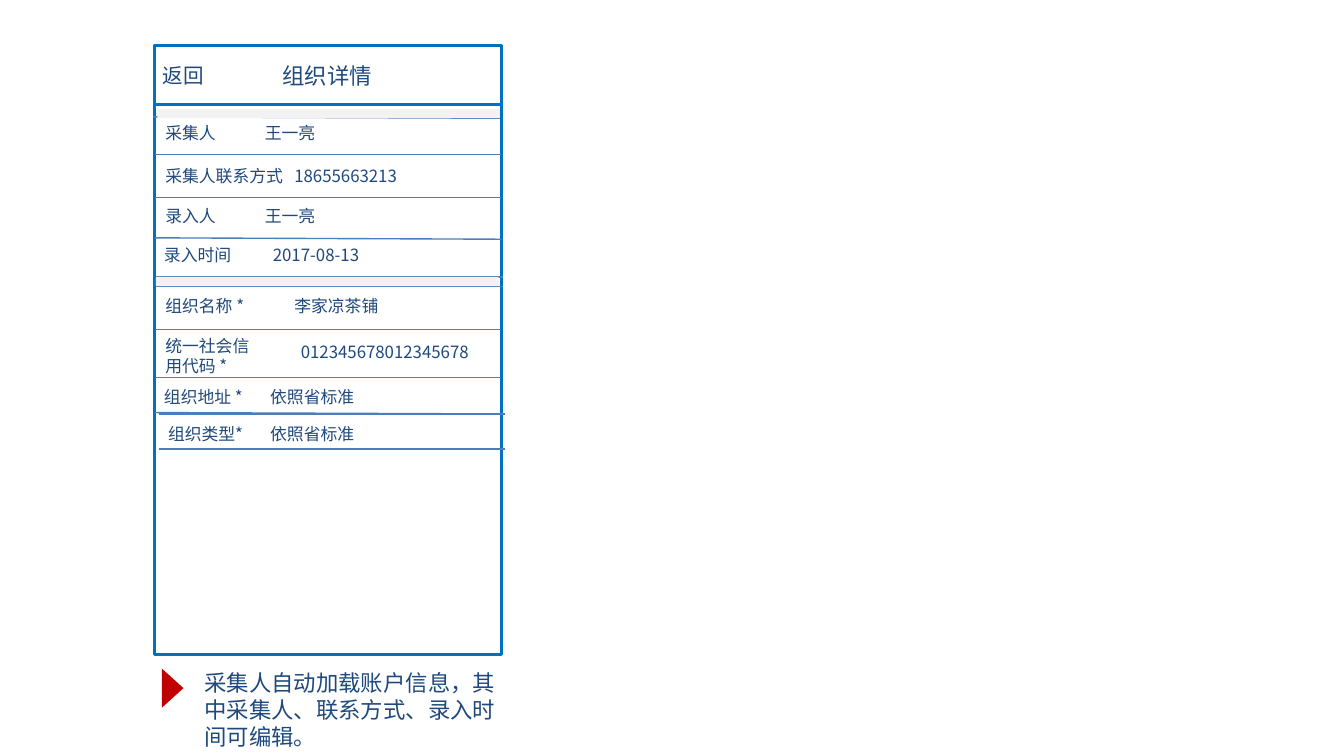
import pptx
import pptx.dml.color
import pptx.enum.shapes
import pptx.enum.text
import pptx.oxml.ns
import pptx.util
import lxml.etree

Inches = pptx.util.Inches
Pt = pptx.util.Pt
RGB = pptx.dml.color.RGBColor
Shape = pptx.enum.shapes.MSO_SHAPE
Align = pptx.enum.text.PP_ALIGN
qn = pptx.oxml.ns.qn

NAVY = RGB(0x1F, 0x49, 0x7D)
BLUE = RGB(0x00, 0x70, 0xC0)
STEEL = RGB(0x4B, 0x7E, 0xBC)
RED = RGB(0xC0, 0x00, 0x00)
GRAY = RGB(0xF2, 0xF2, 0xF2)
WHITE = RGB(0xFF, 0xFF, 0xFF)
FONT = "Noto Sans CJK SC"

ROWS = [
    ("采集人\t王一亮", 0.08, 0.57, 0.74),
    ("采集人联系方式\t18655663213", 0.08, 0.89, 0.96),
    ("录入人\t王一亮", 0.08, 1.19, 0.74),
    ("录入时间\t2017-08-13", 0.07, 1.48, 0.81),
    ("组织名称 *\t李家凉茶铺", 0.08, 1.86, 0.96),
    ("统一社会信\n用代码 *", 0.08, 2.16, None),
    ("组织地址 *\t依照省标准", 0.07, 2.54, 0.79),
    ("组织类型*\t依照省标准", 0.1, 2.81, 0.76),
]
RULES = [
    (0, 0.81, 0), (0, 1.13, 0), (0, 1.43, 0.01), (0.01, 1.72, 0),
    (0, 2.11, 0), (0, 2.47, 0), (0, 2.73, 0.01), (0.03, 2.74, 0),
    (0.03, 3, 0), (-0.01, 0.53, 0.01), (0.01, 1.79, 0),
]
BANDS = [(0.02, 0.47), (0.01, 1.72)]


def style(item, values):
    """Set each attribute of an object from a dict."""
    for name, value in values.items():
        setattr(item, name, value)


def write(shape, text, size, inset=(0, 0), tab=None, align=Align.LEFT, wrap=True):
    """Fill a shape with navy text, one paragraph per line."""
    side, edge = map(Inches, inset)
    frame = shape.text_frame
    frame.text = text
    style(frame, {
        "margin_left": side, "margin_right": side,
        "margin_top": edge, "margin_bottom": edge, "word_wrap": wrap,
        "auto_size": pptx.enum.text.MSO_AUTO_SIZE.NONE,
        "vertical_anchor": pptx.enum.text.MSO_ANCHOR.TOP,
    })
    for para in frame.paragraphs:
        if tab:
            stops = lxml.etree.SubElement(para._p.get_or_add_pPr(), qn("a:tabLst"))
            lxml.etree.SubElement(stops, qn("a:tab"), pos=str(Inches(tab)), algn="l")
        style(para, {"alignment": align, "line_spacing": Pt(size * 1.2)})
        for run in para.runs:
            style(run.font, {"size": Pt(size), "name": FONT})
            run.font.color.rgb = NAVY
            east = lxml.etree.SubElement(run._r.get_or_add_rPr(), qn("a:ea"))
            east.set("typeface", FONT)


def label(slide, box, text, size, fill=WHITE, **format):
    """Add a text box, filled unless fill is None."""
    shape = slide.shapes.add_textbox(*map(Inches, box))
    if fill is not None:
        shape.fill.solid()
        shape.fill.fore_color.rgb = fill
    write(shape, text, size, **format)


def block(slide, kind, box, fill=None, line=None):
    """Add a preset shape with an optional fill and outline."""
    shape = slide.shapes.add_shape(kind, *map(Inches, box))
    shape.shadow.inherit = False
    if fill is None:
        shape.fill.background()
    else:
        shape.fill.solid()
        shape.fill.fore_color.rgb = fill
    if line is None:
        shape.line.fill.background()
    else:
        shape.line.color.rgb = line
        shape.line.width = Pt(1.5)
    return shape


def rule(slide, left, top, width, drop):
    """Draw a thin line that falls by drop from left to right."""
    line = slide.shapes.add_connector(
        pptx.enum.shapes.MSO_CONNECTOR.STRAIGHT,
        *map(Inches, (left, top, left + width, top + drop)))
    line.line.color.rgb = STEEL
    line.line.width = Pt(0.75)
    lxml.etree.SubElement(line._element.spPr, qn("a:effectLst"))


def header(slide, left, top, width, height):
    """Place the bar with its title and back label."""
    block(slide, Shape.RECTANGLE, (left, top, width, height), line=BLUE)
    title = slide.shapes.title
    place = map(Inches, (left + 0.8, top + 0.07, 0.97, 0.3))
    style(title, dict(zip(("left", "top", "width", "height"), place)))
    write(title, "组织详情", 12, inset=(0.1, 0.05), align=Align.CENTER)
    label(slide, (left + 0.03, top + 0.13, 0.37, 0.17), "返回", 11, align=Align.CENTER)


def form(slide, left, top, width, height):
    """Place the framed screen with its rows, rules and bands."""
    block(slide, Shape.RECTANGLE, (left, top, width, height), line=BLUE)
    for text, x, y, tab in ROWS:
        tall = 0.15 * len(text.split("\n"))
        label(slide, (left + x, top + y, 2.42, tall), text, 9, tab=tab)
    for x, y, drop in RULES:
        rule(slide, left + x, top + y, width, drop)
    label(slide, (left + 0.99, top + 2.15, 1.53, 0.25), "012345678012345678", 9,
          fill=None, inset=(0.1, 0.05), wrap=False)
    for x, y in BANDS:
        block(slide, Shape.RECTANGLE, (left + x, top + y, 2.55, 0.07), fill=GRAY)


def note(slide, left, top, width, height):
    """Place the remark with its red marker."""
    label(slide, (left + 0.38, top, width - 0.38, height),
          "采集人自动加载账户信息，其中采集人、联系方式、录入时间可编辑。", 12)
    mark = block(slide, Shape.ISOSCELES_TRIANGLE, (left, top + 0.06, 0.29, 0.16), fill=RED)
    mark.rotation = 90


def main():
    """Build and save the deck."""
    deck = pptx.Presentation()
    wide = Inches(10)
    style(deck, {"slide_width": wide, "slide_height": wide * 9 // 16})
    slide = deck.slides.add_slide(deck.slide_layouts[5])
    note(slide, 1.14, 4.98, 2.66, 0.61)
    header(slide, 1.15, 0.34, 2.58, 0.44)
    form(slide, 1.15, 0.34, 2.58, 4.53)
    deck.save("out.pptx")


if __name__ == "__main__":
    main()
